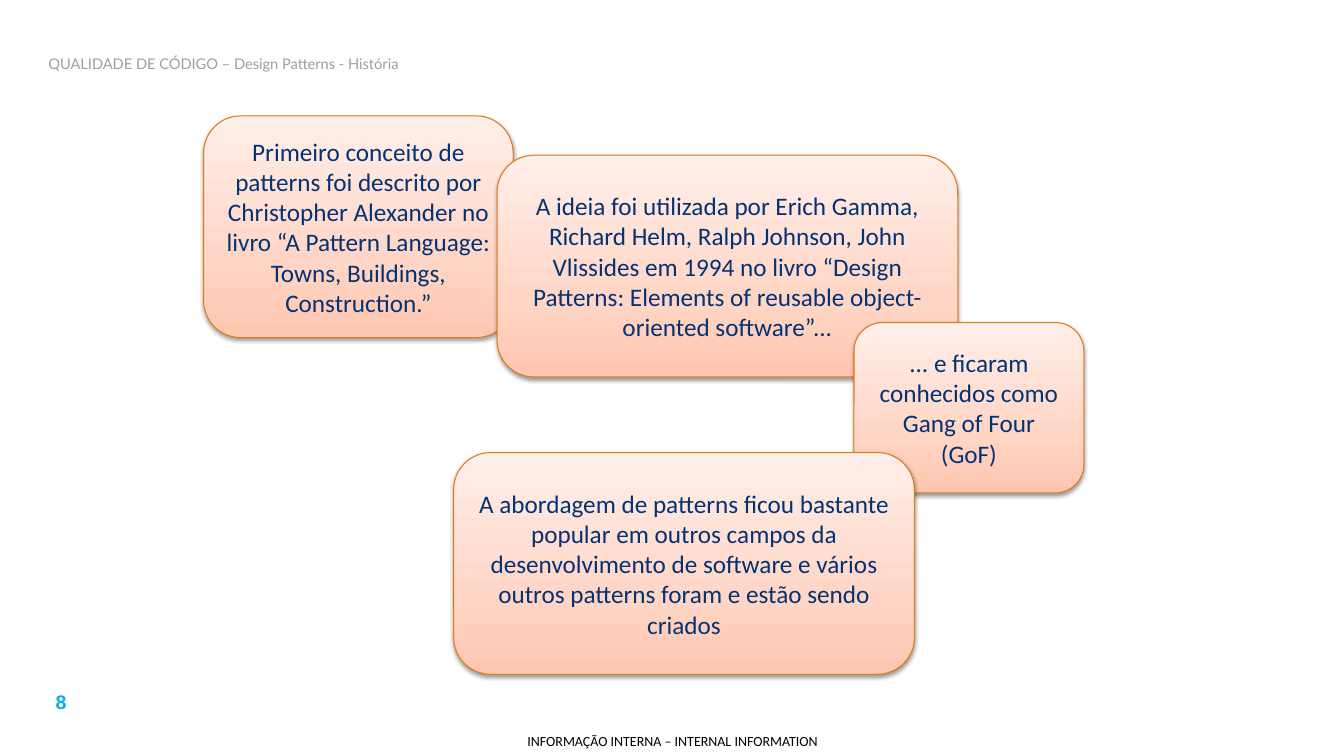
from copy import deepcopy

from lxml import etree
from pptx import Presentation
from pptx import util as u
from pptx.dml import color
from pptx.enum import shapes, text
from pptx.oxml import ns

SCALE = 9144
INK = "053273"
EDGE = "E17A19"
STOPS = [(0, "FFC6AF"), (0.35, "FFD6C6"), (1, "FFEFEA")]


def px(n):
    return u.Emu(n * SCALE)


def rgb(code):
    return color.RGBColor.from_string(code)


class Deck:
    def __init__(self):
        self.prs = Presentation()
        self.prs.slide_width = px(1333)
        self.prs.slide_height = px(750)
        self.slide = self.prs.slides.add_slide(self.prs.slide_layouts[5])

    def say(self, shape, words, size, face, ink, bold=False,
            align=text.PP_ALIGN.CENTER, anchor=text.MSO_ANCHOR.MIDDLE):
        frame = shape.text_frame
        frame.word_wrap = True
        frame.auto_size = text.MSO_AUTO_SIZE.NONE
        frame.vertical_anchor = anchor
        para = frame.paragraphs[0]
        para.alignment = align
        run = para.add_run()
        run.text = words
        font = run.font
        font.size = u.Pt(size)
        font.name = face
        font.bold = bold
        font.color.rgb = rgb(ink)
        return frame

    def title(self, box, words):
        shape = self.slide.shapes.title
        shape.left, shape.top, shape.width, shape.height = map(px, box)
        self.say(shape, words, 10.5, "Lato", "9BA0A0",
                 align=text.PP_ALIGN.LEFT)

    def label(self, box, words, size, face, ink, **style):
        shape = self.slide.shapes.add_textbox(*map(px, box))
        return self.say(shape, words, size, face, ink, **style)

    def card(self, box, words):
        shape = self.slide.shapes.add_shape(
            shapes.MSO_SHAPE.ROUNDED_RECTANGLE, *map(px, box))
        self.shade(shape)
        shape.line.color.rgb = rgb(EDGE)
        shape.line.width = u.Pt(0.75)
        self.shadow(shape)
        self.say(shape, words, 18, "Calibri", INK)

    def shade(self, shape):
        fill = shape.fill
        fill.gradient()
        fill.gradient_angle = 90
        stops = shape.element.spPr.find(".//" + ns.qn("a:gsLst"))
        stops.append(deepcopy(stops[-1]))
        for stop, (place, tint) in zip(fill.gradient_stops, STOPS):
            stop.position = place
            stop.color.rgb = rgb(tint)

    def shadow(self, shape):
        shape.shadow.inherit = False
        effects = shape.element.spPr.find(ns.qn("a:effectLst"))
        outer = etree.SubElement(
            effects, ns.qn("a:outerShdw"), blurRad="40000", dist="20000",
            dir="5400000", rotWithShape="0")
        tone = etree.SubElement(outer, ns.qn("a:srgbClr"), val="000000")
        etree.SubElement(tone, ns.qn("a:alpha"), val="38000")


def main():
    deck = Deck()
    deck.label((21, 680, 79, 34), "8", 14, "Arial", "00B0F0", bold=True,
               anchor=text.MSO_ANCHOR.TOP)
    foot = deck.label((503, 721, 328, 29),
                      "INFORMAÇÃO INTERNA – INTERNAL INFORMATION",
                      10, "Calibri", "000000")
    foot.margin_left = foot.margin_right = 0
    foot.margin_top = foot.margin_bottom = 0
    deck.title((38, 38, 1188, 50),
               "QUALIDADE DE CÓDIGO – Design Patterns - História")

    cards = [
        ((202, 115, 307, 220),
         "Primeiro conceito de patterns foi descrito por Christopher "
         "Alexander no livro “A Pattern Language: Towns, Buildings, "
         "Construction.”"),
        ((493, 154, 457, 220),
         "A ideia foi utilizada por Erich Gamma, Richard Helm, Ralph "
         "Johnson, John Vlissides em 1994 no livro “Design Patterns: "
         "Elements of reusable object-oriented software”..."),
        ((847, 320, 228, 169),
         "... e ficaram conhecidos como Gang of Four (GoF)"),
        ((450, 449, 457, 220),
         "A abordagem de patterns ficou bastante popular em outros campos "
         "da desenvolvimento de software e vários outros patterns foram e "
         "estão sendo criados"),
    ]
    for box, words in cards:
        deck.card(box, words)
    deck.prs.save("out.pptx")


if __name__ == "__main__":
    main()
